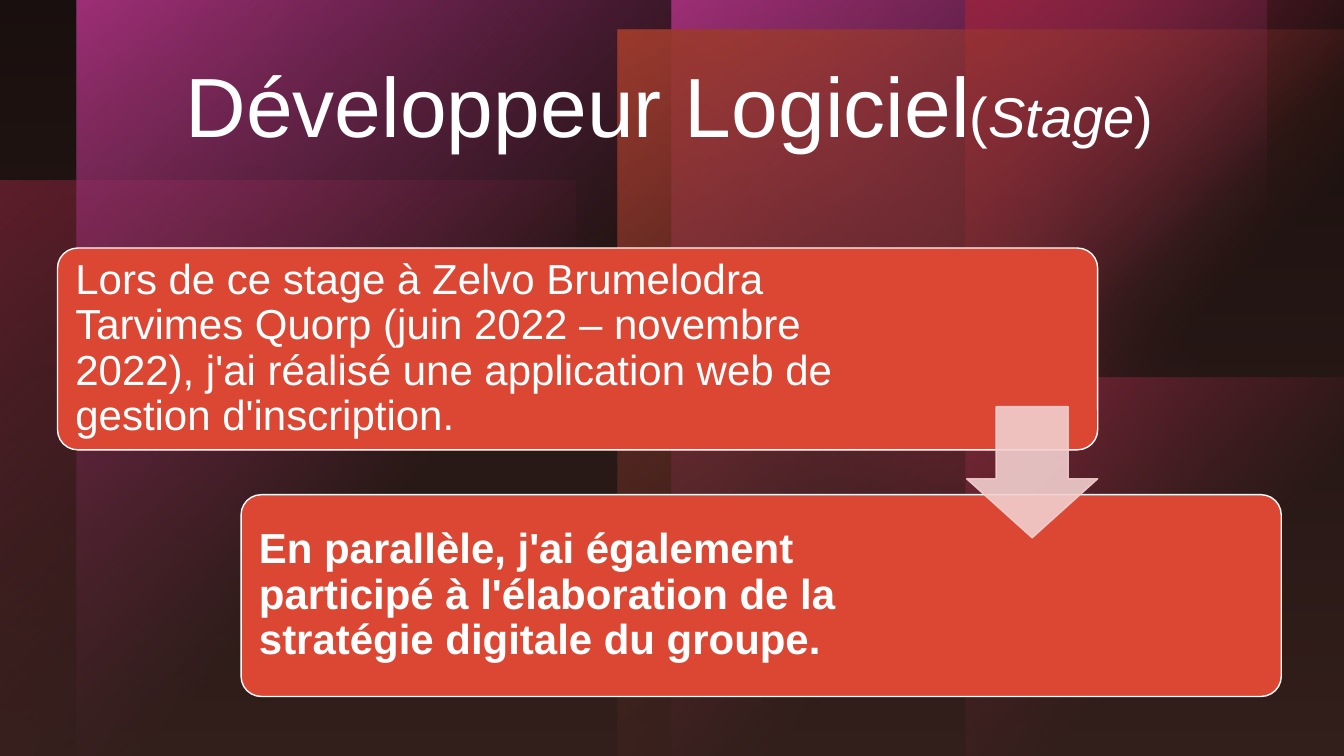
from dataclasses import dataclass

from lxml import etree
from pptx import Presentation
from pptx import util as u
from pptx.dml.color import RGBColor
from pptx.enum import shapes, text
from pptx.oxml import ns

Cm, Pt = u.Cm, u.Pt
AUTO = shapes.MSO_SHAPE


@dataclass(frozen=True)
class Theme:
    font: str = "Arial"
    title: int = 60
    subtitle: int = 40
    body: int = 30
    white: str = "FFFFFF"
    black: str = "000000"
    orange: str = "DC4734"
    crimson: str = "CA2255"
    purple: str = "DC34AD"
    brown: str = "412824"
    blush: str = "F2CFCE"


T = Theme()


def rgb(color):
    return RGBColor.from_string(color)


# Shape and fill helpers
def add_box(slide, kind, box, rotation=0, flip=False):
    s = slide.shapes.add_shape(kind, *(Cm(v) for v in box))
    s.shadow.inherit = False
    s.line.fill.background()
    s.rotation = rotation
    if flip:
        s._element.spPr.get_or_add_xfrm().set("flipH", "1")
    return s


def set_alpha(fill, color, opacity):
    fill.solid()
    fill.fore_color.rgb = rgb(color)
    clr = fill._xPr.find(".//" + ns.qn("a:srgbClr"))
    etree.SubElement(clr, ns.qn("a:alpha")).set("val", str(opacity * 1000))


def set_gradient(s, stops, radial=True):
    """Stops are (position, colour, opacity) in percent."""
    s.fill.background()
    grad = etree.Element(ns.qn("a:gradFill"), rotWithShape="1")
    stop_list = etree.SubElement(grad, ns.qn("a:gsLst"))
    for position, color, opacity in stops:
        stop = etree.SubElement(stop_list, ns.qn("a:gs"), pos=str(position * 1000))
        clr = etree.SubElement(stop, ns.qn("a:srgbClr"), val=color)
        etree.SubElement(clr, ns.qn("a:alpha"), val=str(opacity * 1000))
    if radial:
        path = etree.SubElement(grad, ns.qn("a:path"))
        path.set("path", "circle")
        etree.SubElement(path, ns.qn("a:fillToRect"), l="0", t="0", r="100000", b="100000")
    else:
        etree.SubElement(grad, ns.qn("a:lin"), ang="5400000", scaled="0")
    spPr = s._element.spPr
    spPr.replace(spPr.find(ns.qn("a:noFill")), grad)


def format_run(r, size, bold=False, italic=False):
    r.font.name, r.font.size = T.font, Pt(size)
    r.font.bold, r.font.italic = bold, italic
    r.font.color.rgb = rgb(T.white)


# Background: overlapping glows under a brown wash
def add_corner_glow(slide, box, color, opacity=100, rotation=0, flip=False):
    s = add_box(slide, AUTO.RECTANGLE, box, rotation, flip)
    set_gradient(s, [(0, color, opacity), (60, color, 0)])


def add_soft_disc(slide, box, color, opacity):
    s = add_box(slide, AUTO.OVAL, box)
    set_alpha(s.fill, color, opacity)
    effects = s._element.spPr.find(ns.qn("a:effectLst"))
    etree.SubElement(effects, ns.qn("a:softEdge"), rad=str(Pt(100)))


def add_background(slide, box):
    left, top, width, height = box
    right, bottom = left + width, top + height
    slide.background.fill.solid()
    slide.background.fill.fore_color.rgb = rgb(T.black)

    large, small, band, seam = 14.5, 9.53, 15, 16.92
    add_corner_glow(slide, (left, bottom - large, large, large), T.crimson, 60, 270)
    add_soft_disc(slide, (17.73, top, 12, 12), T.orange, 96)
    add_soft_disc(slide, (17, 3.43, 15.3, 15.3), T.crimson, 60)
    add_corner_glow(slide, (seam, top, band, height), T.purple)
    add_corner_glow(slide, (seam - band, top, band, height), T.purple, flip=True)
    for y, flip in ((bottom - small, False), (top, True)):
        add_corner_glow(slide, (right - small, y, small, small), T.crimson,
                        rotation=90, flip=flip)
    add_corner_glow(slide, (right - 18.3, bottom - 18.3, 18.3, 18.3), T.orange,
                    rotation=180)
    wash = add_box(slide, AUTO.RECTANGLE, box)
    set_gradient(wash, [(0, T.brown, 40), (100, T.brown, 80)], radial=False)


# Title
def add_title(slide, box):
    s = slide.shapes.title
    s.left, s.top, s.width, s.height = (Cm(v) for v in box)
    tf = s.text_frame
    tf.word_wrap = True
    tf.auto_size = text.MSO_AUTO_SIZE.NONE
    tf.vertical_anchor = text.MSO_ANCHOR.TOP
    p = tf.paragraphs[0]
    p.alignment, p.line_spacing = text.PP_ALIGN.CENTER, 0.9
    for words, size, italic in (("Développeur Logiciel", T.title, False),
                                ("(", T.subtitle, False),
                                ("Stage", T.subtitle, True),
                                (")", T.subtitle, False)):
        r = p.add_run()
        r.text = words
        format_run(r, size, italic=italic)
    # Bring the title in front of the background
    slide.shapes._spTree.append(s._element)


# Two staggered cards joined by an arrow
def add_card(slide, box, words, text_width, bold):
    left, top, width, height = box
    s = add_box(slide, AUTO.ROUNDED_RECTANGLE, box)
    s.adjustments[0] = 0.1
    s.fill.solid()
    s.fill.fore_color.rgb = rgb(T.orange)
    s.line.color.rgb = rgb(T.white)
    s.line.width = Pt(1)

    pad = 0.15
    label = (left + pad, top + pad, text_width, height - 2 * pad)
    tf = slide.shapes.add_textbox(*(Cm(v) for v in label)).text_frame
    tf.word_wrap = True
    tf.vertical_anchor = text.MSO_ANCHOR.MIDDLE
    tf.margin_left = tf.margin_right = tf.margin_top = tf.margin_bottom = Cm(0.3)
    tf.text = words
    p = tf.paragraphs[0]
    p.alignment, p.line_spacing = text.PP_ALIGN.LEFT, 0.9
    format_run(p.runs[0], T.body, bold=bold)


def add_steps(slide, box):
    left, top, width, height = box
    card_w, card_h = width * 0.85, height * 0.45
    arrow = card_h * 0.65
    add_card(slide, (left, top, card_w, card_h),
             "Lors de ce stage à Zelvo Brumelodra Tarvimes Quorp (juin 2022 – novembre "
             "2022), j'ai réalisé une application web de gestion d'inscription.",
             20.96, False)
    add_card(slide, (left + width - card_w, top + height - card_h, card_w, card_h),
             "En parallèle, j'ai également participé à l'élaboration de la stratégie "
             "digitale du groupe.", 17.98, True)
    s = add_box(slide, AUTO.DOWN_ARROW,
                (left + card_w - arrow, top + (height - arrow) / 2, arrow, arrow))
    s.adjustments[0], s.adjustments[1] = 0.55, 0.45
    set_alpha(s.fill, T.blush, 90)
    set_alpha(s.line.fill, T.blush, 90)
    s.line.width = Pt(1)


def main():
    prs = Presentation()
    width, height = 33.87, 19.05
    prs.slide_width, prs.slide_height = Cm(width), Cm(height)
    slide = prs.slides.add_slide(prs.slide_layouts[5])
    add_background(slide, (0, 0, width, height))
    add_title(slide, (1.45, 1.5, 30.84, 3.3))
    add_steps(slide, (1.45, 6.25, 30.84, 11.3))
    prs.save("out.pptx")


if __name__ == "__main__":
    main()
